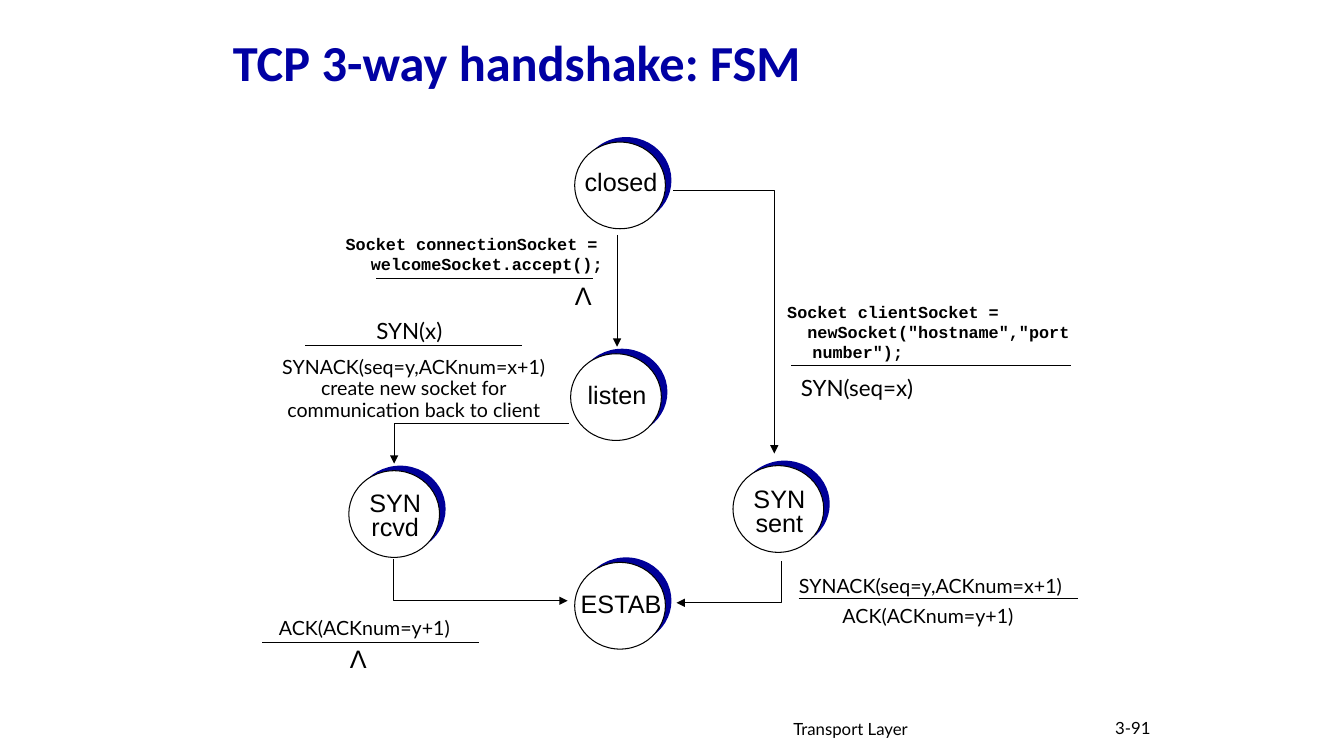
from lxml.etree import SubElement
from pptx import Presentation
from pptx.dml.color import RGBColor
from pptx.enum.shapes import MSO_CONNECTOR as CONN, MSO_SHAPE as SHAPE
from pptx.enum.text import MSO_ANCHOR as ANCHOR, MSO_AUTO_SIZE as AUTO, PP_ALIGN as ALIGN
from pptx.oxml.ns import qn
from pptx.util import Inches, Pt

BLACK = RGBColor(0x00, 0x00, 0x00)
WHITE = RGBColor(0xFF, 0xFF, 0xFF)
NAVY = RGBColor(0x00, 0x00, 0x99)
TITLE_BLUE = RGBColor(0x00, 0x00, 0xA3)
STATE_FONT, LABEL_FONT, CODE_FONT, TITLE_FONT = "Arial", "Lato", "Courier New", "Calibri"


class StateDiagram:
    """Draws the elements of a finite state machine on one slide."""

    def __init__(self, slide):
        self.slide = slide
        self.shapes = slide.shapes

    def format(self, tf, font, size, color=BLACK, bold=False, align=ALIGN.CENTER, spacing=None):
        """Apply one style to every paragraph of a text frame."""
        for p in tf.paragraphs:
            p.alignment = align
            if spacing:
                p.line_spacing = spacing
            for r in p.runs:
                r.font.name = font
                r.font.size = Pt(size)
                r.font.bold = bold
                r.font.color.rgb = color

    def title(self, text, x, y, w, h):
        """Fill and place the title placeholder."""
        s = self.shapes.title
        s.left, s.top, s.width, s.height = map(Inches, (x, y, w, h))
        tf = s.text_frame
        tf.text = text
        tf.auto_size = AUTO.NONE
        tf.vertical_anchor = ANCHOR.MIDDLE
        self.format(tf, TITLE_FONT, 36, TITLE_BLUE, True, ALIGN.LEFT, 0.9)

    def label(self, text, x, y, w, h, font=LABEL_FONT, size=14, wrap=False, **style):
        """Add a text box."""
        tf = self.shapes.add_textbox(*map(Inches, (x, y, w, h))).text_frame
        tf.word_wrap = wrap
        tf.text = text
        self.format(tf, font, size, **style)
        return tf

    def code(self, text, x, y, w, h):
        """Add a code label with a hanging indent."""
        tf = self.label(text, x, y, w, h, CODE_FONT, 12, True, bold=True, align=ALIGN.LEFT)
        for p in tf.paragraphs:
            pPr = p._p.get_or_add_pPr()
            pPr.set("marL", str(Inches(0.25)))
            pPr.set("indent", str(-Inches(0.25)))

    def state(self, name, x, y, drop, spacing=None):
        """Add a state circle with an offset navy disc and its name."""
        w, h = 0.9, 0.86
        group = self.shapes.add_group_shape()
        for dx, dy, color in ((0.06, -0.05, NAVY), (0, 0, WHITE)):
            s = group.shapes.add_shape(SHAPE.OVAL, *map(Inches, (x + dx, y + dy, w, h)))
            s.shadow.inherit = False
            s.fill.solid()
            s.fill.fore_color.rgb = color
            if color == WHITE:
                self.stroke(s)
            else:
                s.line.fill.background()
        self.label(name, x - 0.1, y + drop, w + 0.22, 0.4, STATE_FONT, 18, spacing=spacing)

    def stroke(self, s, arrow=False):
        """Give a shape a thin black line, with an arrowhead at its end if asked."""
        s.line.color.rgb = BLACK
        s.line.width = Pt(0.75)
        if arrow:
            SubElement(s._element.spPr.find(qn("a:ln")), qn("a:tailEnd"), type="triangle")

    def line(self, x1, y1, x2, y2, arrow=False):
        """Add a straight line."""
        s = self.shapes.add_connector(CONN.STRAIGHT, *map(Inches, (x1, y1, x2, y2)))
        self.stroke(s, arrow)
        SubElement(s._element.spPr, qn("a:effectLst"))

    def elbow(self, *points):
        """Add a bent arrow through the points."""
        start, *rest = [(Inches(x), Inches(y)) for x, y in points]
        path = self.shapes.build_freeform(*start)
        path.add_line_segments(rest, close=False)
        s = path.convert_to_shape()
        s.shadow.inherit = False
        s.fill.background()
        self.stroke(s, True)


def main():
    prs = Presentation()
    prs.slide_width, prs.slide_height = Inches(13.33), Inches(7.5)
    fsm = StateDiagram(prs.slides.add_slide(prs.slide_layouts[5]))

    fsm.title("TCP 3-way handshake: FSM", 2.21, 0.18, 5.86, 0.93)
    fsm.label("Transport Layer", 7.77, 7.08, 3.17, 0.31, size=12, wrap=True, align=ALIGN.LEFT)
    fsm.label("3-91", 10.77, 7.07, 0.74, 0.3, size=12, wrap=True, align=ALIGN.RIGHT)

    for state in (
        ("closed", 5.7, 1.41, 0.19),
        ("listen", 5.66, 3.51, 0.2),
        ("SYN\nrcvd", 3.46, 4.67, 0.17, 0.8),
        ("SYN\nsent", 7.27, 4.62, 0.18, 0.8),
        ("ESTAB", 5.7, 5.58, 0.27, 0.8),
    ):
        fsm.state(*state)

    fsm.line(6.12, 2.33, 6.12, 3.44, True)
    fsm.elbow((6.68, 1.89), (7.68, 1.89), (7.68, 4.5))
    fsm.elbow((5.64, 4.2), (3.91, 4.2), (3.91, 4.6))
    fsm.elbow((3.9, 5.55), (3.9, 5.96), (5.63, 5.96))
    fsm.elbow((7.75, 5.57), (7.75, 5.98), (6.71, 5.98))

    for x, y, length in (
        (3.73, 2.76, 2.15), (3.03, 3.43, 2.15), (2.6, 6.37, 2.15),
        (7.85, 3.63, 2.77), (7.92, 5.94, 2.77),
    ):
        fsm.line(x, y, x + length, y)

    fsm.code("Socket connectionSocket = welcomeSocket.accept();", 3.33, 2.27, 2.82, 0.5)
    fsm.code('Socket clientSocket =\n  newSocket("hostname","port number");', 7.71, 2.94, 3.16, 0.71)

    for x, y in ((5.6, 2.73), (3.37, 6.33)):
        fsm.label("Λ", x, y, 0.37, 0.4, STATE_FONT, 18)
    fsm.label("SYN(x)", 3.62, 3.1, 0.88, 0.37, size=16)
    fsm.label("SYN(seq=x)", 7.81, 3.66, 1.38, 0.37, size=16)

    synack, ack = "SYNACK(seq=y,ACKnum=x+1)", "ACK(ACKnum=y+1)"
    reply = synack + "\ncreate new socket for\ncommunication back to client"
    for text, x, y, w, h in (
        (reply, 2.68, 3.5, 2.85, 0.71),
        (synack, 7.8, 5.67, 2.86, 0.3),
        (ack, 8.24, 5.97, 1.93, 0.3),
        (ack, 2.65, 6.09, 1.93, 0.3),
    ):
        fsm.label(text, x, y, w, h, spacing=0.9)

    prs.save("out.pptx")


if __name__ == "__main__":
    main()
